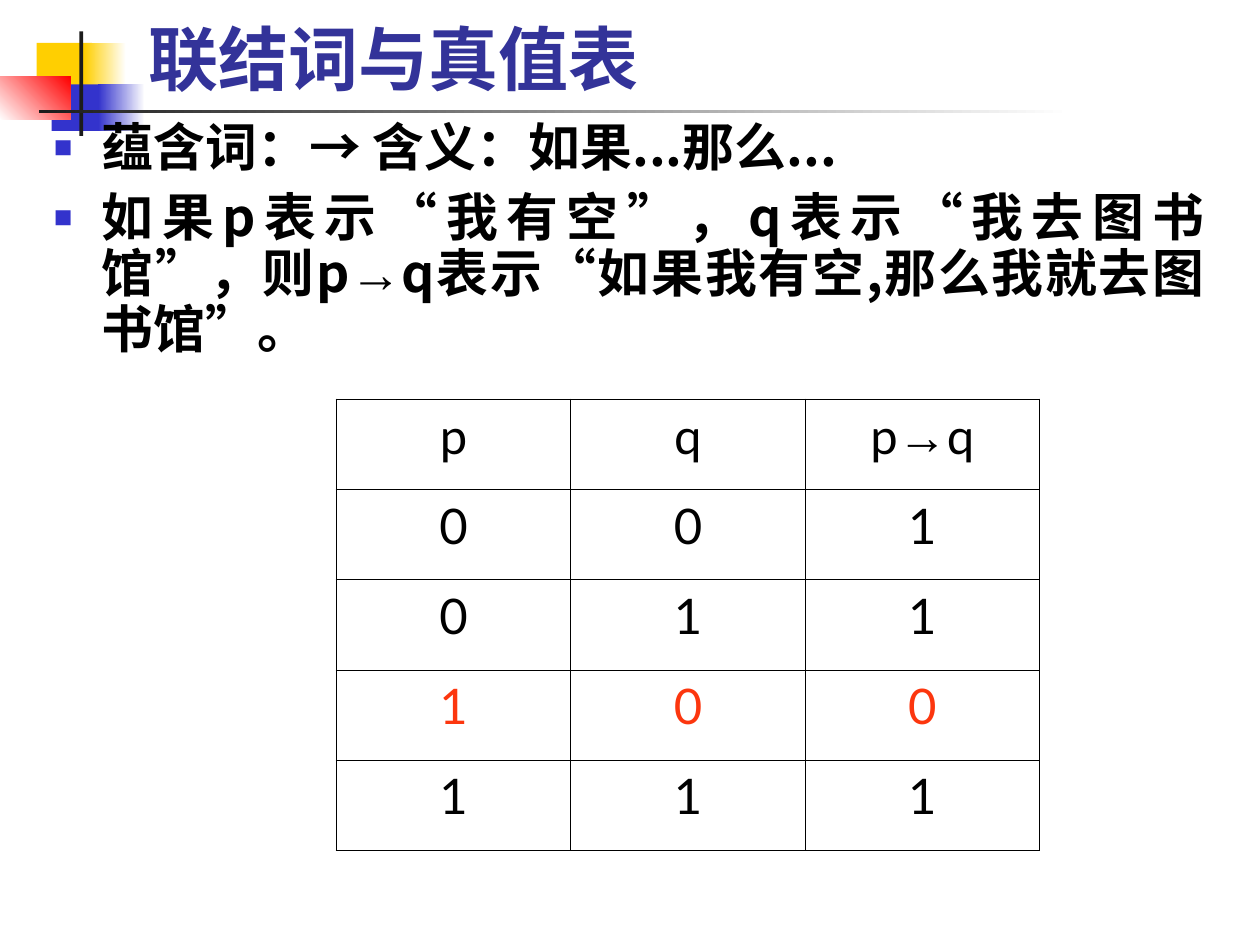
from itertools import groupby
from lxml import etree
from pptx import Presentation
from pptx import util as u
from pptx.dml.color import RGBColor
from pptx.enum import shapes, text
from pptx.oxml.ns import qn

SANS = "Noto Sans CJK SC"
SIGNS = {"→": "Arial", "“": "Times New Roman", "”": "Times New Roman"}
BLACK, BLUE, GOLD, RED = "000000", "3333CC", "FFCF01", "FC360E"
DARK, WHITE = "1C1C1C", "FFFFFF"

TITLE = "联结词与真值表"
POINTS = [
    "蕴含词：→ 含义：如果...那么...",
    "如果p表示“我有空”，q表示“我去图书馆”，则p→q表示“如果我有空,那么我就去图书馆”。",
]
TRUTH = [
    ("p", "q", "p→q"),
    ("0", "0", "1"),
    ("0", "1", "1"),
    ("1", "0", "0"),
    ("1", "1", "1"),
]
FALSE_ROW = 3
DECOR = [
    ((0.29, 0.34, 0.44, 0.38), [GOLD], 0),
    ((0.67, 0.34, 0.33, 0.38), [GOLD, WHITE], 0),
    ((0.41, 0.67, 0.42, 0.37), [BLUE], 0),
    ((0.78, 0.67, 0.37, 0.37), [BLUE, WHITE], 0),
    ((0, 0.61, 0.56, 0.34), [WHITE, "FF0000"], 45),
    ((0.63, 0.25, 0.03, 0.83), [DARK], 0),
    ((0.31, 0.87, 8.19, 0.03), [DARK, WHITE], 0),
]


def rgb(code):
    return RGBColor.from_string(code)


def box(*nums):
    return [u.Inches(n) for n in nums]


def node(root, tag, **attrs):
    return etree.SubElement(root, qn(tag), attrs)


def write(para, words, size=28, font=SANS, color=BLACK, bold=False,
          align=text.PP_ALIGN.LEFT):
    para.alignment = align
    for face, chars in groupby(words, lambda c: SIGNS.get(c, font)):
        run = para.add_run()
        run.text = "".join(chars)
        run.font.name = face
        run.font.size = u.Pt(size)
        run.font.bold = bold
        run.font.color.rgb = rgb(color)
        node(run.font._element, "a:ea", typeface=SANS)


def bullet(para):
    props = para._p.get_or_add_pPr()
    props.set("marL", str(u.Inches(0.38)))
    props.set("indent", str(-u.Inches(0.38)))
    props.set("hangingPunct", "0")
    node(node(props, "a:buClr"), "a:srgbClr", val=BLUE)
    node(props, "a:buSzPct", val="60000")
    node(props, "a:buFont", typeface="Arial")
    node(props, "a:buChar", char="■")


def border(cell, widths):
    props = cell._tc.get_or_add_tcPr()
    for spot, (side, width) in enumerate(zip("LRTB", widths)):
        line = etree.Element(qn("a:ln" + side), {"w": str(u.Pt(width))})
        node(node(line, "a:solidFill"), "a:srgbClr", val=BLACK)
        props.insert(spot, line)


def decor(slide):
    for place, tones, angle in DECOR:
        shape = slide.shapes.add_shape(shapes.MSO_SHAPE.RECTANGLE, *box(*place))
        shape.shadow.inherit = False
        shape.line.fill.background()
        if len(tones) == 1:
            shape.fill.solid()
            shape.fill.fore_color.rgb = rgb(tones[0])
            continue
        shape.fill.gradient()
        shape.fill.gradient_angle = angle
        for stop, tone in zip(shape.fill.gradient_stops, tones):
            stop.color.rgb = rgb(tone)


def head(slide):
    title = slide.shapes.title
    title.left, title.top, title.width, title.height = box(1.08, 0.17, 8.42, 0.67)
    frame = title.text_frame
    frame.auto_size = text.MSO_AUTO_SIZE.NONE
    frame.vertical_anchor = text.MSO_ANCHOR.BOTTOM
    write(frame.paragraphs[0], TITLE, size=40, color="333399", bold=True)


def body(slide):
    frame = slide.shapes.add_textbox(*box(0.33, 0.92, 9.33, 2.33)).text_frame
    frame.word_wrap = True
    for i, words in enumerate(POINTS):
        para = frame.add_paragraph() if i else frame.paragraphs[0]
        bullet(para)
        para.line_spacing = 0.9
        if i:
            para.space_before = u.Pt(8)
        write(para, words, size=29.6, bold=True, align=text.PP_ALIGN.JUSTIFY)


def table(slide):
    rows, cols = len(TRUTH), len(TRUTH[0])
    place = box(2.67, 3.17, 5.58, 3.58)
    grid = slide.shapes.add_table(rows, cols, *place).table
    grid.first_row = grid.horz_banding = False
    for r, row in enumerate(TRUTH):
        for c, words in enumerate(row):
            cell = grid.cell(r, c)
            cell.fill.background()
            edges = (c == 0, c == cols - 1, r == 0, r == rows - 1)
            border(cell, [1.08 if edge else 0.45 for edge in edges])
            write(cell.text_frame.paragraphs[0], words, font="Lato",
                  color=RED if r == FALSE_ROW else BLACK,
                  align=text.PP_ALIGN.CENTER)


def main():
    deck = Presentation()
    deck.slide_width, deck.slide_height = box(10, 7.5)
    slide = deck.slides.add_slide(deck.slide_layouts[5])
    decor(slide)
    head(slide)
    body(slide)
    table(slide)
    deck.save("out.pptx")


if __name__ == "__main__":
    main()
